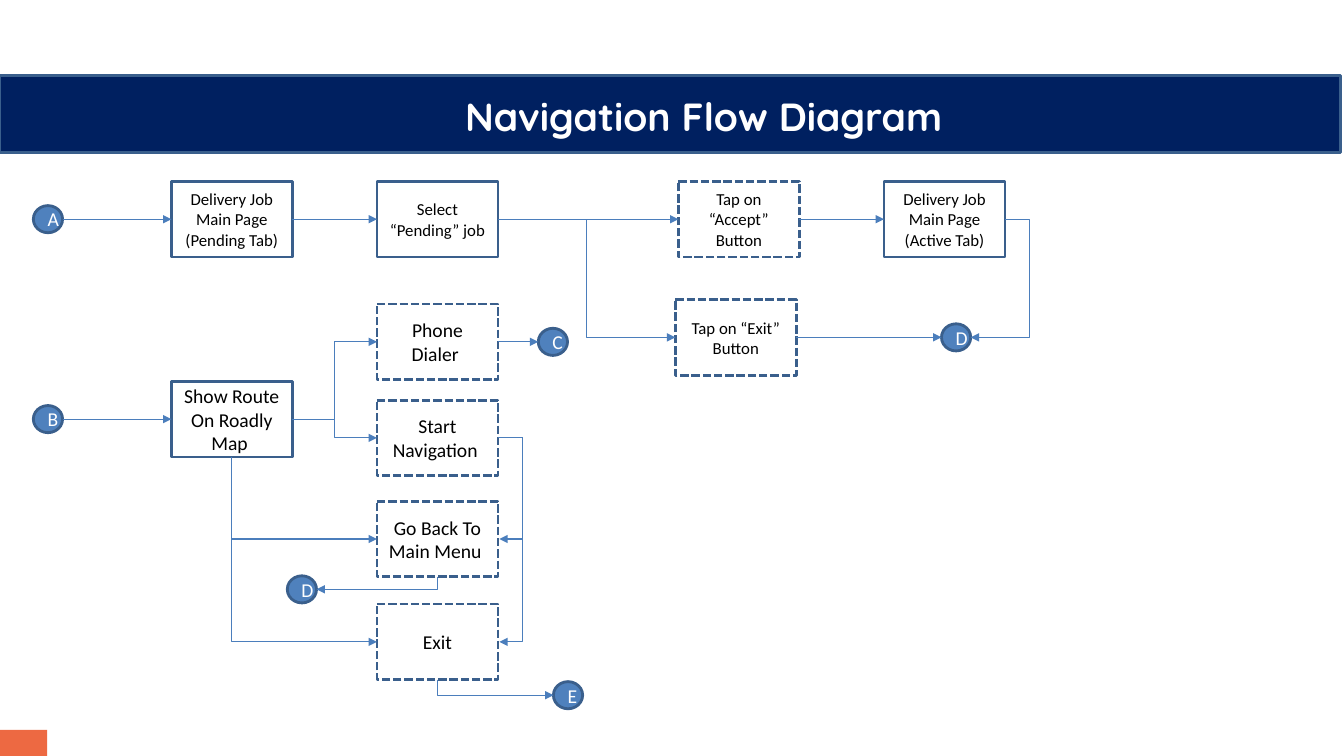
from dataclasses import dataclass

import pptx
import pptx.dml.color
import pptx.enum.dml
import pptx.enum.shapes
import pptx.enum.text
import pptx.oxml
import pptx.oxml.ns
import pptx.util

Pt = pptx.util.Pt
qn = pptx.oxml.ns.qn
SHAPE = pptx.enum.shapes.MSO_SHAPE
CONNECTOR = pptx.enum.shapes.MSO_CONNECTOR
ANCHOR = pptx.enum.text.MSO_ANCHOR
CENTER = pptx.enum.text.PP_ALIGN.CENTER

SLIDE_W, SLIDE_H = 960, 540
NAVY, ORANGE, BLUE = "002060", "ED6942", "4F81BD"
OUTLINE, ARROW = "3A5F8C", "4B7EBC"
BLACK, WHITE = "000000", "FFFFFF"

BOX_W, BOX_H = 86.4, 54
DOT_W, DOT_H = 20.9, 19.4
COLUMN_STEP = 146.9
COL_1 = 122.4
COL_2 = COL_1 + COLUMN_STEP
COL_3 = 484.6
COL_4 = COL_3 + COLUMN_STEP
PENDING_Y, DECLINE_Y, PHONE_Y, ROUTE_Y = 156.6, 241, 244.2, 299.4
START_Y, BACK_Y, RETURN_Y, EXIT_Y, END_Y = 312.8, 385, 421, 458.5, 496.6


@dataclass(frozen=True)
class Node:
    text: str
    left: float
    mid: float
    size: float = 14
    dashed: bool = False
    dot: bool = False

    @property
    def width(self) -> float:
        return DOT_W if self.dot else BOX_W

    @property
    def height(self) -> float:
        return DOT_H if self.dot else BOX_H

    def side(self, name: str) -> tuple[float, float]:
        return {
            "left": (self.left, self.mid),
            "right": (self.left + self.width, self.mid),
            "bottom": (self.left + self.width / 2, self.mid + self.height / 2),
        }[name]


@dataclass(frozen=True)
class Link:
    source: str
    target: str
    leave: str = "right"
    enter: str = "left"
    bend_x: float | None = None


NODES = {
    "A": Node("A", 23.8, PENDING_Y, dot=True),
    "pending": Node("Delivery Job Main Page (Pending Tab)", COL_1, PENDING_Y, 12),
    "select": Node("Select “Pending” job", COL_2, PENDING_Y, 12),
    "accept": Node("Tap on “Accept” Button", COL_3, PENDING_Y, 12, dashed=True),
    "decline": Node("Tap on “Exit” Button", 482.4, DECLINE_Y, 12, dashed=True),
    "active": Node("Delivery Job Main Page (Active Tab)", COL_4, PENDING_Y, 12),
    "D": Node("D", 672.5, DECLINE_Y, dot=True),
    "B": Node("B", 23.8, ROUTE_Y, dot=True),
    "route": Node("Show Route On Roadly Map ", COL_1, ROUTE_Y),
    "phone": Node("Phone Dialer ", COL_2, PHONE_Y, dashed=True),
    "start": Node("Start Navigation ", COL_2, START_Y, dashed=True),
    "back": Node("Go Back To Main Menu ", COL_2, BACK_Y, dashed=True),
    "exit": Node("Exit", COL_2, EXIT_Y, dashed=True),
    "C": Node("C", 384.5, PHONE_Y, dot=True),
    "E": Node("E", 395.3, END_Y, dot=True),
    "return": Node("D", 205.2, RETURN_Y, dot=True),
}

LINKS = [
    Link("A", "pending"),
    Link("pending", "select"),
    Link("select", "accept"),
    Link("select", "decline"),
    Link("accept", "active"),
    Link("active", "D", enter="right", bend_x=735.5),
    Link("decline", "D"),
    Link("B", "route"),
    Link("route", "phone"),
    Link("route", "start"),
    Link("route", "back", leave="bottom"),
    Link("route", "exit", leave="bottom"),
    Link("phone", "C"),
    Link("start", "back", enter="right", bend_x=373.7),
    Link("start", "exit", enter="right", bend_x=373.7),
    Link("back", "return", leave="bottom", enter="right"),
    Link("exit", "E", leave="bottom"),
]


def rgb(value: str) -> pptx.dml.color.RGBColor:
    return pptx.dml.color.RGBColor.from_string(value)


def add_text(tf, text: str, font: str, size: float, color: str, bold: bool = False) -> None:
    tf.word_wrap = True
    p = tf.paragraphs[0]
    p.alignment = CENTER
    r = p.add_run()
    r.text = text
    r.font.name = font
    r.font.size = Pt(size)
    r.font.bold = bold
    r.font.color.rgb = rgb(color)


def add_block(s, kind, left: float, top: float, width: float, height: float,
              fill: str, line: str | None = None):
    sp = s.shapes.add_shape(kind, Pt(left), Pt(top), Pt(width), Pt(height))
    sp.shadow.inherit = False
    sp.fill.solid()
    sp.fill.fore_color.rgb = rgb(fill)
    if line:
        sp.line.color.rgb = rgb(line)
        sp.line.width = Pt(2)
    else:
        sp.line.fill.background()
    return sp


def add_node(s, node: Node) -> None:
    kind = SHAPE.FLOWCHART_CONNECTOR if node.dot else SHAPE.FLOWCHART_PROCESS
    sp = add_block(s, kind, node.left, node.mid - node.height / 2, node.width, node.height,
                   BLUE if node.dot else WHITE, OUTLINE)
    if node.dashed:
        sp.line.dash_style = pptx.enum.dml.MSO_LINE.SQUARE_DOT
    sp.text_frame.vertical_anchor = ANCHOR.MIDDLE
    add_text(sp.text_frame, node.text, "Calibri", node.size, WHITE if node.dot else BLACK)


def turn_down_first(c, x1: float, y1: float, x2: float, y2: float) -> None:
    run, drop = abs(x2 - x1), y2 - y1
    c.left, c.top = Pt((x1 + x2 - drop) / 2), Pt((y1 + y2 - run) / 2)
    c.width, c.height = Pt(drop), Pt(run)
    spPr = c._element.spPr
    spPr.find(qn("a:prstGeom")).set("prst", "bentConnector2")
    xfrm = spPr.find(qn("a:xfrm"))
    xfrm.set("rot", "16200000" if x2 > x1 else "5400000")
    xfrm.set("flipH", "1" if x2 > x1 else "0")


def add_link(s, link: Link) -> None:
    x1, y1 = NODES[link.source].side(link.leave)
    x2, y2 = NODES[link.target].side(link.enter)
    if x1 == x2:
        x2 += 1
    kind = CONNECTOR.STRAIGHT if y1 == y2 else CONNECTOR.ELBOW
    c = s.shapes.add_connector(kind, Pt(x1), Pt(y1), Pt(x2), Pt(y2))
    spPr = c._element.spPr
    if link.leave == "bottom":
        turn_down_first(c, x1, y1, x2, y2)
    elif link.bend_x is not None:
        ratio = round((link.bend_x - x1) / (x2 - x1) * 100000)
        guides = spPr.find(qn("a:prstGeom")).get_or_add_avLst()
        gd = pptx.oxml.xmlchemy.OxmlElement("a:gd")
        gd.set("name", "adj1")
        gd.set("fmla", f"val {ratio}")
        guides.append(gd)
    c.line.color.rgb = rgb(ARROW)
    c.line.width = Pt(0.75)
    tail = pptx.oxml.xmlchemy.OxmlElement("a:tailEnd")
    tail.set("type", "triangle")
    spPr.find(qn("a:ln")).append(tail)
    spPr.append(pptx.oxml.xmlchemy.OxmlElement("a:effectLst"))


def add_title(s) -> None:
    title = s.shapes.title
    title.left, title.top, title.width, title.height = Pt(23.8), Pt(62.6), Pt(957.6), Pt(51.8)
    tf = title.text_frame
    tf.vertical_anchor = ANCHOR.TOP
    tf.auto_size = pptx.enum.text.MSO_AUTO_SIZE.NONE
    add_text(tf, "Navigation Flow Diagram", "Quicksand", 28, WHITE, bold=True)
    bar = add_block(s, SHAPE.RECTANGLE, 0, 54, 957.6, 54.7, NAVY, OUTLINE)
    title._element.addprevious(bar._element)


def main() -> None:
    prs = pptx.Presentation()
    prs.slide_width, prs.slide_height = Pt(SLIDE_W), Pt(SLIDE_H)
    s = prs.slides.add_slide(prs.slide_layouts.get_by_name("Title Only"))
    add_title(s)
    add_block(s, SHAPE.RECTANGLE, 0, 521.3, 33.8, SLIDE_H - 521.3, ORANGE)
    for node in NODES.values():
        add_node(s, node)
    for link in LINKS:
        add_link(s, link)
    prs.save("out.pptx")


if __name__ == "__main__":
    main()
